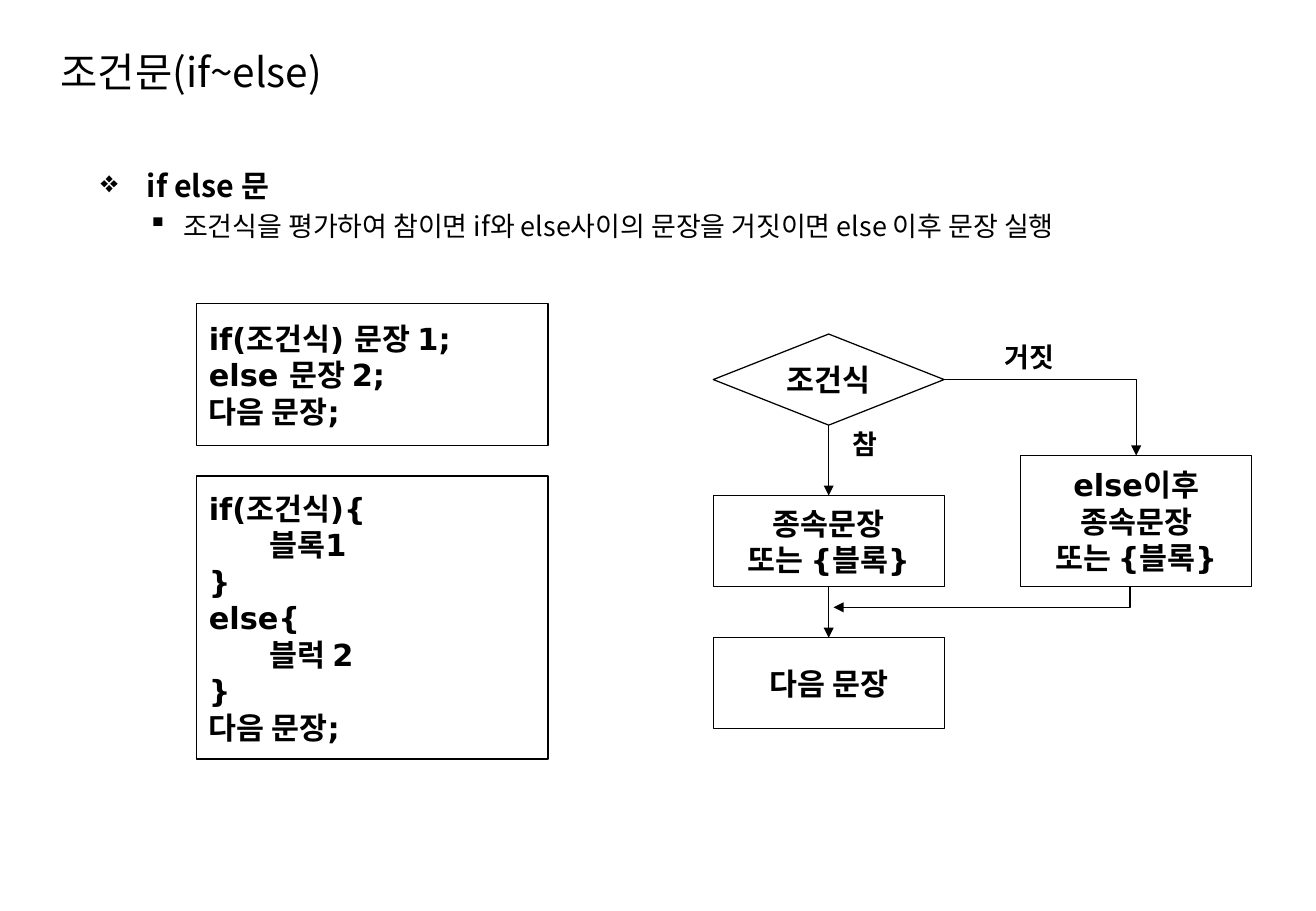
from dataclasses import dataclass

from lxml.etree import SubElement
from pptx import Presentation
from pptx.dml.color import RGBColor
from pptx.enum.shapes import MSO_CONNECTOR, MSO_SHAPE
from pptx.enum.text import MSO_ANCHOR, PP_ALIGN
from pptx.oxml.ns import qn
from pptx.util import Inches, Pt

SANS = "DejaVu Sans"
NOTO = "Noto Sans CJK KR"
BLACK = "000000"


@dataclass
class Box:
    name: str
    left: float
    top: float
    width: float
    height: float
    lines: list[str]
    kind: MSO_SHAPE = MSO_SHAPE.FLOWCHART_PROCESS
    align: PP_ALIGN = PP_ALIGN.CENTER


@dataclass
class Label:
    left: float
    top: float
    width: float
    height: float
    text: str
    size: float = 16
    face: str = SANS
    bold: bool = True
    align: PP_ALIGN = PP_ALIGN.CENTER
    wrap: bool = False


@dataclass
class Point:
    text: str
    mark: str
    size: float
    bold: bool
    margin: float
    hang: float


@dataclass
class Arrow:
    start: str
    side: int
    end: str
    bent: bool = False


CODE, FLOW, ELSE = 1.62, 5.87, 8.4
BOXES = [
    Box("short", CODE, 2.5, 2.89, 1.17,
        ["if(조건식) 문장 1;", "else 문장 2;", "다음 문장;"], align=PP_ALIGN.LEFT),
    Box("block", CODE, 3.92, 2.89, 2.33,
        ["if(조건식){", "\t블록1", "}", "else{", "\t블럭 2", "}", "다음 문장;"],
        align=PP_ALIGN.LEFT),
    Box("test", FLOW, 2.75, 1.9, 0.75, ["조건식"], MSO_SHAPE.FLOWCHART_DECISION),
    Box("then", FLOW, 4.08, 1.9, 0.75, ["종속문장", "또는 {블록}"]),
    Box("next", FLOW, 5.25, 1.9, 0.75, ["다음 문장"]),
    Box("else", ELSE, 3.75, 1.9, 1.08, ["else이후", "종속문장", "또는 {블록}"]),
]
LABELS = [
    Label(0.4, 0.32, 6.26, 0.54, "조건문(if~else)", 24, NOTO, False, PP_ALIGN.LEFT, True),
    Label(8.15, 2.75, 0.64, 0.37, "거짓"),
    Label(6.91, 3.47, 0.42, 0.37, "참"),
]
POINTS = [
    Point("if else 문", "❖", 18, True, 0.38, -0.38),
    Point("조건식을 평가하여 참이면 if와 else사이의 문장을 거짓이면 else 이후 문장 실행",
          "▪", 16, False, 0.68, -0.29),
]
ARROWS = [
    Arrow("test", 2, "then"),
    Arrow("then", 2, "next"),
    Arrow("test", 3, "else", bent=True),
]


def paint(color, value: str) -> None:
    color.rgb = RGBColor.from_string(value)


def style(para, size: float, face: str, bold: bool) -> None:
    font = para.font
    font.size, font.name, font.bold = Pt(size), face, bold
    paint(font.color, BLACK)


def stroke(shape, head: bool = False) -> None:
    """Draw a thin black line, with an arrowhead at its end if asked."""
    shape.line.width = Pt(0.75)
    shape.line.fill.solid()
    paint(shape.line.fill.fore_color, BLACK)
    if head:
        SubElement(shape.line._get_or_add_ln(), qn("a:tailEnd"), type="triangle")


def add_box(slide, box: Box):
    shape = slide.shapes.add_shape(box.kind, Inches(box.left), Inches(box.top),
                                   Inches(box.width), Inches(box.height))
    shape.shadow.inherit = False
    shape.fill.background()
    stroke(shape)
    frame = shape.text_frame
    frame.word_wrap = False
    frame.vertical_anchor = MSO_ANCHOR.MIDDLE
    frame.text = "\n".join(box.lines)
    for para in frame.paragraphs:
        para.alignment = box.align
        style(para, 18, SANS, True)
    return shape


def add_label(slide, label: Label) -> None:
    frame = slide.shapes.add_textbox(Inches(label.left), Inches(label.top),
                                     Inches(label.width), Inches(label.height)).text_frame
    frame.word_wrap = label.wrap
    frame.vertical_anchor = MSO_ANCHOR.MIDDLE
    frame.text = label.text
    para = frame.paragraphs[0]
    para.alignment = label.align
    style(para, label.size, label.face, label.bold)


def add_points(slide, points: list[Point]) -> None:
    frame = slide.shapes.add_textbox(Inches(0.73), Inches(1.33),
                                     Inches(9.33), Inches(5.58)).text_frame
    frame.word_wrap = True
    frame.text = "\n".join(point.text for point in points)
    for level, (para, point) in enumerate(zip(frame.paragraphs, points)):
        para.level = level
        para.space_before = Pt(point.size * 0.2)
        style(para, point.size, NOTO, point.bold)
        props = para._p.get_or_add_pPr()
        props.set("marL", str(Inches(point.margin)))
        props.set("indent", str(Inches(point.hang)))
        bullet = props.makeelement(qn("a:buChar"), {"char": point.mark})
        props.find(qn("a:defRPr")).addprevious(bullet)


def add_arrow(slide, arrow: Arrow, shapes: dict) -> None:
    kind = MSO_CONNECTOR.ELBOW if arrow.bent else MSO_CONNECTOR.STRAIGHT
    line = slide.shapes.add_connector(kind, 0, 0, 0, 0)
    line.begin_connect(shapes[arrow.start], arrow.side)
    line.end_connect(shapes[arrow.end], 0)
    if arrow.bent:
        line._element.spPr.find(qn("a:prstGeom")).set("prst", "bentConnector2")
    stroke(line, head=True)
    SubElement(line._element.spPr, qn("a:effectLst"))


def add_return(slide) -> None:
    """Lead the else branch back to the main flow."""
    pen = slide.shapes.build_freeform(Inches(9.3), Inches(4.83))
    pen.add_line_segments([(Inches(9.3), Inches(5)), (Inches(6.86), Inches(5))], close=False)
    shape = pen.convert_to_shape()
    shape.shadow.inherit = False
    shape.fill.background()
    stroke(shape, head=True)


def main() -> None:
    deck = Presentation()
    deck.slide_width, deck.slide_height = Inches(10.83), Inches(7.5)
    slide = deck.slides.add_slide(deck.slide_layouts[6])
    add_points(slide, POINTS)
    shapes = {box.name: add_box(slide, box) for box in BOXES}
    for label in LABELS:
        add_label(slide, label)
    for arrow in ARROWS:
        add_arrow(slide, arrow, shapes)
    add_return(slide)
    deck.save("out.pptx")


if __name__ == "__main__":
    main()
